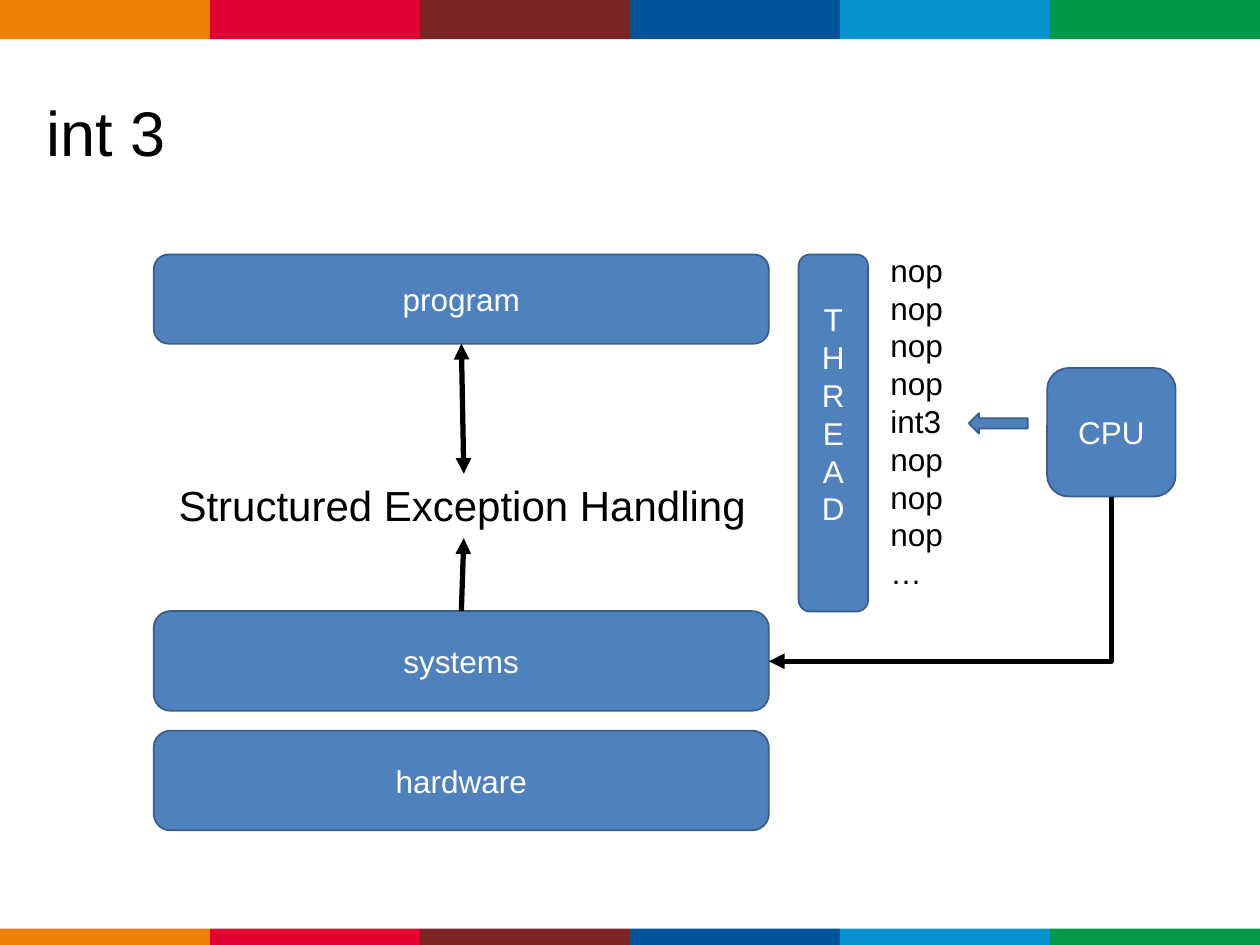
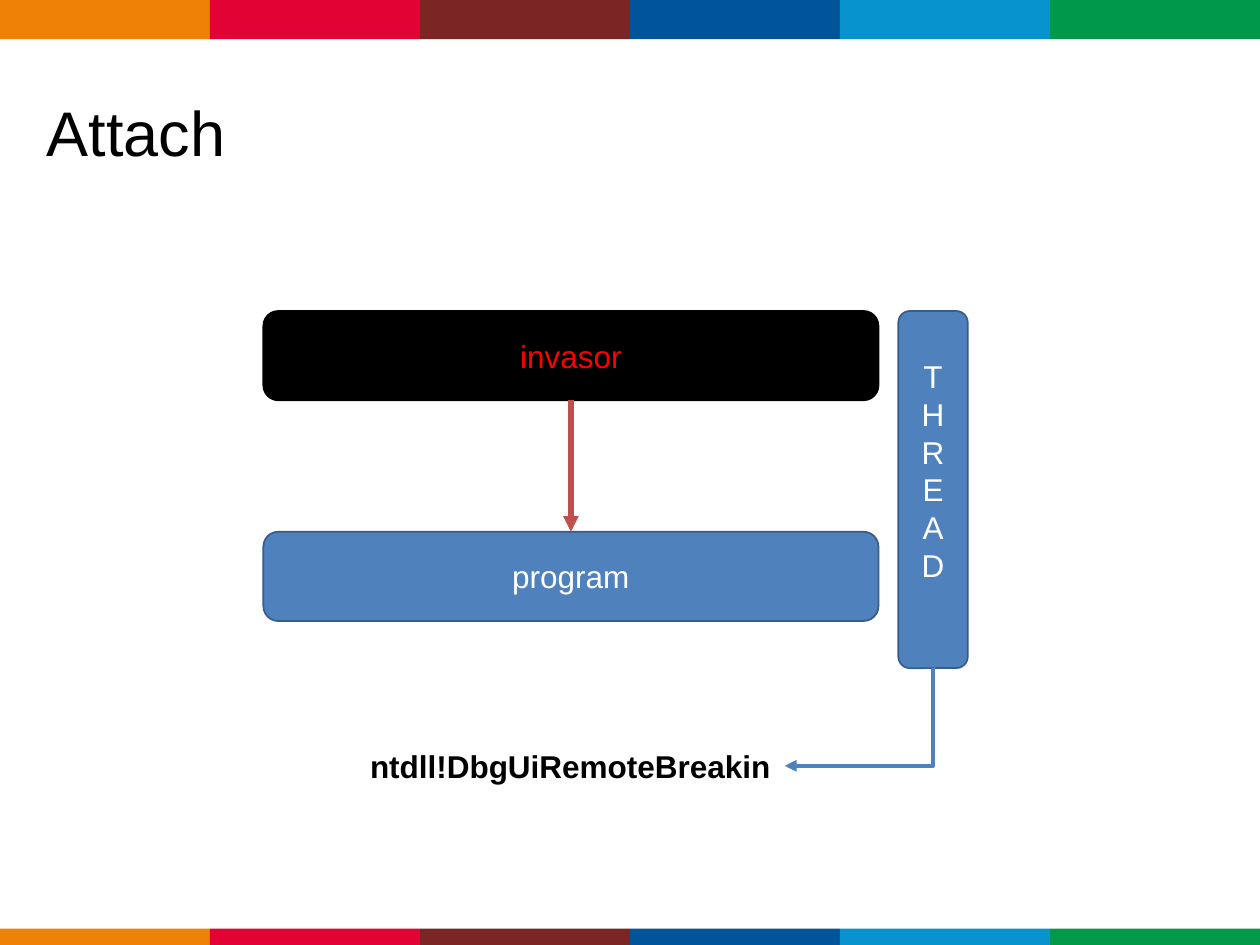
from lxml import etree
from pptx import Presentation
from pptx.dml.color import RGBColor
from pptx.enum.shapes import MSO_CONNECTOR, MSO_SHAPE
from pptx.enum.text import MSO_ANCHOR, PP_ALIGN
from pptx.oxml.ns import qn
from pptx.util import Cm, Pt

RECT = MSO_SHAPE.RECTANGLE
ROUND = MSO_SHAPE.ROUNDED_RECTANGLE
ARROW = MSO_SHAPE.LEFT_ARROW
LINE = MSO_CONNECTOR.STRAIGHT
ELBOW = MSO_CONNECTOR.ELBOW
LEFT, CENTER = PP_ALIGN.LEFT, PP_ALIGN.CENTER
TOP, MIDDLE = MSO_ANCHOR.TOP, MSO_ANCHOR.MIDDLE

BLACK = RGBColor(0x00, 0x00, 0x00)
WHITE = RGBColor(0xFF, 0xFF, 0xFF)
RED = RGBColor(0xFF, 0x00, 0x00)
BLUE = RGBColor(0x4F, 0x81, 0xBD)
NAVY = RGBColor(0x38, 0x5D, 0x8A)
BRICK = RGBColor(0xC0, 0x50, 0x4D)
BANDS = [
    RGBColor(0xEF, 0x82, 0x06),
    RGBColor(0xE2, 0x03, 0x34),
    RGBColor(0x7B, 0x25, 0x25),
    RGBColor(0x00, 0x54, 0x9A),
    RGBColor(0x07, 0x94, 0xCE),
    RGBColor(0x00, 0x99, 0x49),
]

FONT = "Arial"
WIDTH, HEIGHT = 25.4, 19.05
WIDE, LOW, TALL = 12.4, 1.8, 2.01
BOTTOM, SIDE = 2, 3


def write(shape, text, size=18, color=BLACK, bold=False, align=LEFT,
          anchor=TOP, wrap=True):
    frame = shape.text_frame
    frame.text = text
    frame.word_wrap = wrap
    frame.vertical_anchor = anchor
    for para in frame.paragraphs:
        para.alignment = align
        for run in para.runs:
            run.font.name = FONT
            run.font.size = Pt(size)
            run.font.bold = bold
            run.font.color.rgb = color


def draw(slide, kind, x, y, w, h, fill=BLUE, edge=NAVY):
    shape = slide.shapes.add_shape(kind, Cm(x), Cm(y), Cm(w), Cm(h))
    shape.shadow.inherit = False
    shape.fill.solid()
    shape.fill.fore_color.rgb = fill
    if edge is None:
        shape.line.fill.background()
    else:
        shape.line.color.rgb = edge
        shape.line.width = Pt(1)
    return shape


def box(slide, text, x, y, w=WIDE, h=LOW, color=WHITE, **look):
    shape = draw(slide, ROUND, x, y, w, h, **look)
    write(shape, text, color=color, align=CENTER, anchor=MIDDLE)
    return shape


def thread(slide, x, y):
    shape = box(slide, "\n".join("THREAD"), x, y, 1.4, 7.2)
    shape.text_frame.margin_bottom = Cm(0.9)


def label(slide, text, x, y, w, h, **form):
    write(slide.shapes.add_textbox(Cm(x), Cm(y), Cm(w), Cm(h)), text, **form)


def style(line, color, width, ends):
    line.line.color.rgb = color
    line.line.width = Pt(width)
    props = line.element.spPr
    for end in ends:
        etree.SubElement(props.find(qn("a:ln")), qn("a:" + end), type="triangle")
    etree.SubElement(props, qn("a:effectLst"))


def link(slide, start, end, color=BLACK, width=3, ends=("tailEnd",)):
    line = slide.shapes.add_connector(LINE, *map(Cm, start + end))
    style(line, color, width, ends)
    return line


def bend(slide, start, end, color=BLACK, width=3):
    (x1, y1), (x2, y2) = start, end
    midx, midy = (x1 + x2) / 2, (y1 + y2) / 2
    halfw, halfh = (y2 - y1) / 2, (x1 - x2) / 2
    line = slide.shapes.add_connector(
        ELBOW, Cm(midx - halfw), Cm(midy - halfh),
        Cm(midx + halfw), Cm(midy + halfh))
    props = line.element.spPr
    props.find(qn("a:xfrm")).set("rot", "5400000")
    props.find(qn("a:prstGeom")).set("prst", "bentConnector2")
    style(line, color, width, ("tailEnd",))


def share(deck, slide):
    tree = deck.slide_master.shapes.element
    step = WIDTH / len(BANDS)
    for row, (y, h) in enumerate([(0, 0.79), (18.72, 0.33)]):
        for col, color in enumerate(BANDS):
            band = draw(slide, RECT, col * step, y, step, h, color, None)
            number = 100 + row * len(BANDS) + col
            band.element.nvSpPr.cNvPr.set("id", str(number))
            tree.append(band.element)


def start(deck, title):
    slide = deck.slides.add_slide(deck.slide_layouts[5])
    head = slide.shapes.title
    head.left, head.top, head.width, head.height = map(
        Cm, (0.69, 1.35, 15.8, 2.59))
    write(head, title, size=36, anchor=MIDDLE)
    return slide


def trap(slide):
    left = 3.1
    box(slide, "hardware", left, 14.73, h=TALL)
    app = box(slide, "program", left, 5.13)
    host = box(slide, "systems", left, 12.32, h=TALL)
    box(slide, "CPU", 21.11, 7.42, 2.59, 2.59)
    thread(slide, 16.1, 5.13)
    code = ["nop"] * 4 + ["int3"] + ["nop"] * 3 + ["…"]
    label(slide, "\n".join(code), 17.7, 4.93, 1.8, 7.11)
    draw(slide, ARROW, 19.53, 8.33, 1.19, 0.41)
    bend(slide, (22.4, 10.01), (left + WIDE, 13.33))
    label(slide, "Structured Exception Handling", 3.35, 9.55, 11.94, 1.27,
          size=24, wrap=False)
    rise = link(slide, (9.3, 12.32), (9.35, 10.85))
    rise.begin_connect(host, 0)
    both = link(slide, (9.35, 9.55), (9.3, 6.93), ends=("headEnd", "tailEnd"))
    both.end_connect(app, BOTTOM)


def attach(slide):
    left, top = 5.31, 6.27
    app = box(slide, "program", left, 10.72)
    foe = box(slide, "invasor", left, top, color=RED, fill=BLACK, edge=BLACK)
    drop = link(slide, (11.51, 8.07), (11.51, 10.72), color=BRICK)
    drop.begin_connect(foe, BOTTOM)
    drop.end_connect(app, 0)
    thread(slide, 18.11, top)
    label(slide, "ntdll!DbgUiRemoteBreakin", 7.21, 14.94, 8.59, 1.02,
          bold=True, wrap=False)
    bend(slide, (18.81, 13.47), (15.82, 15.44), color=BLUE, width=2.25)


def main():
    deck = Presentation()
    deck.slide_width, deck.slide_height = Cm(WIDTH), Cm(HEIGHT)
    first = start(deck, "int 3")
    share(deck, first)
    trap(first)
    attach(start(deck, "Attach"))
    deck.save("out.pptx")


if __name__ == "__main__":
    main()
